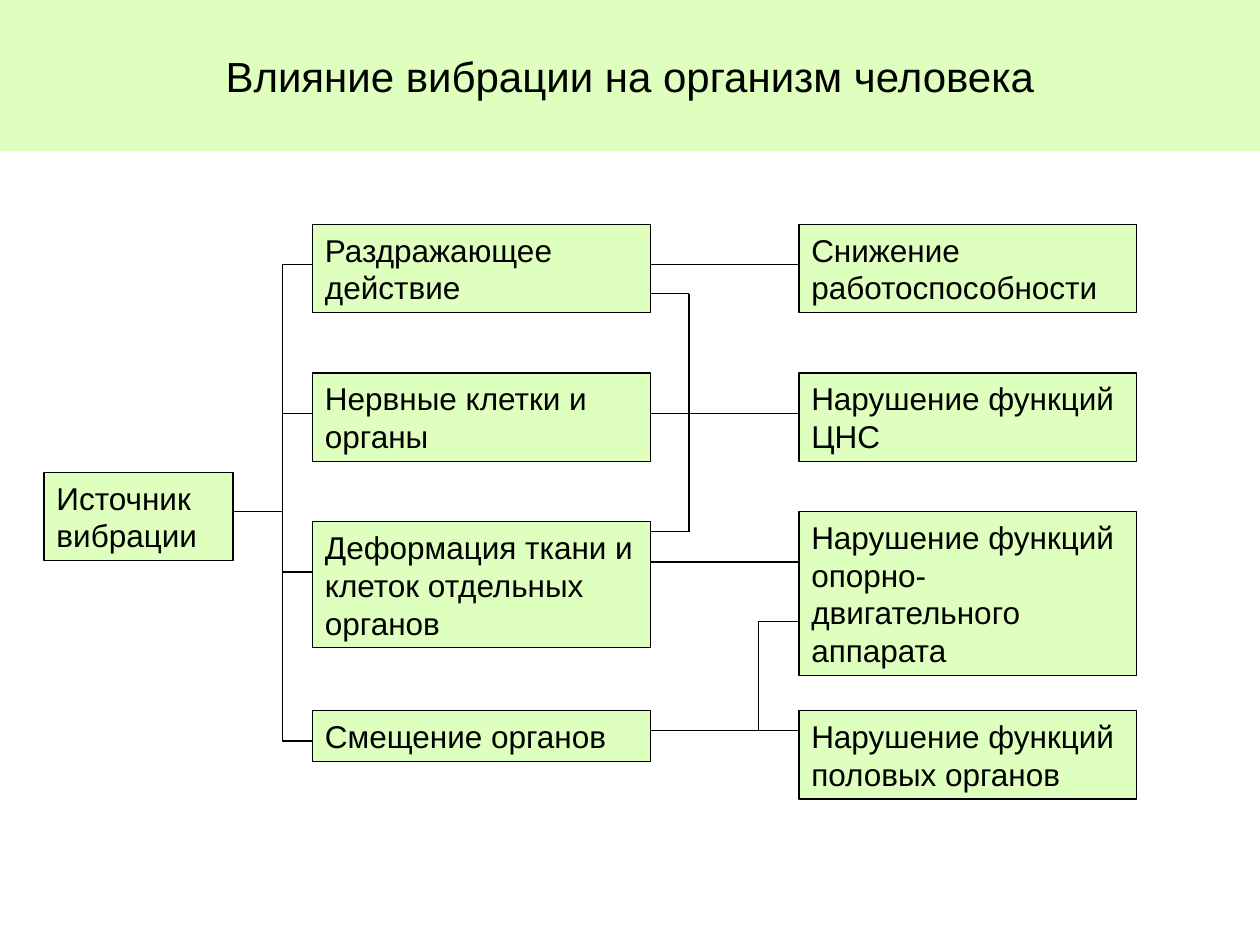
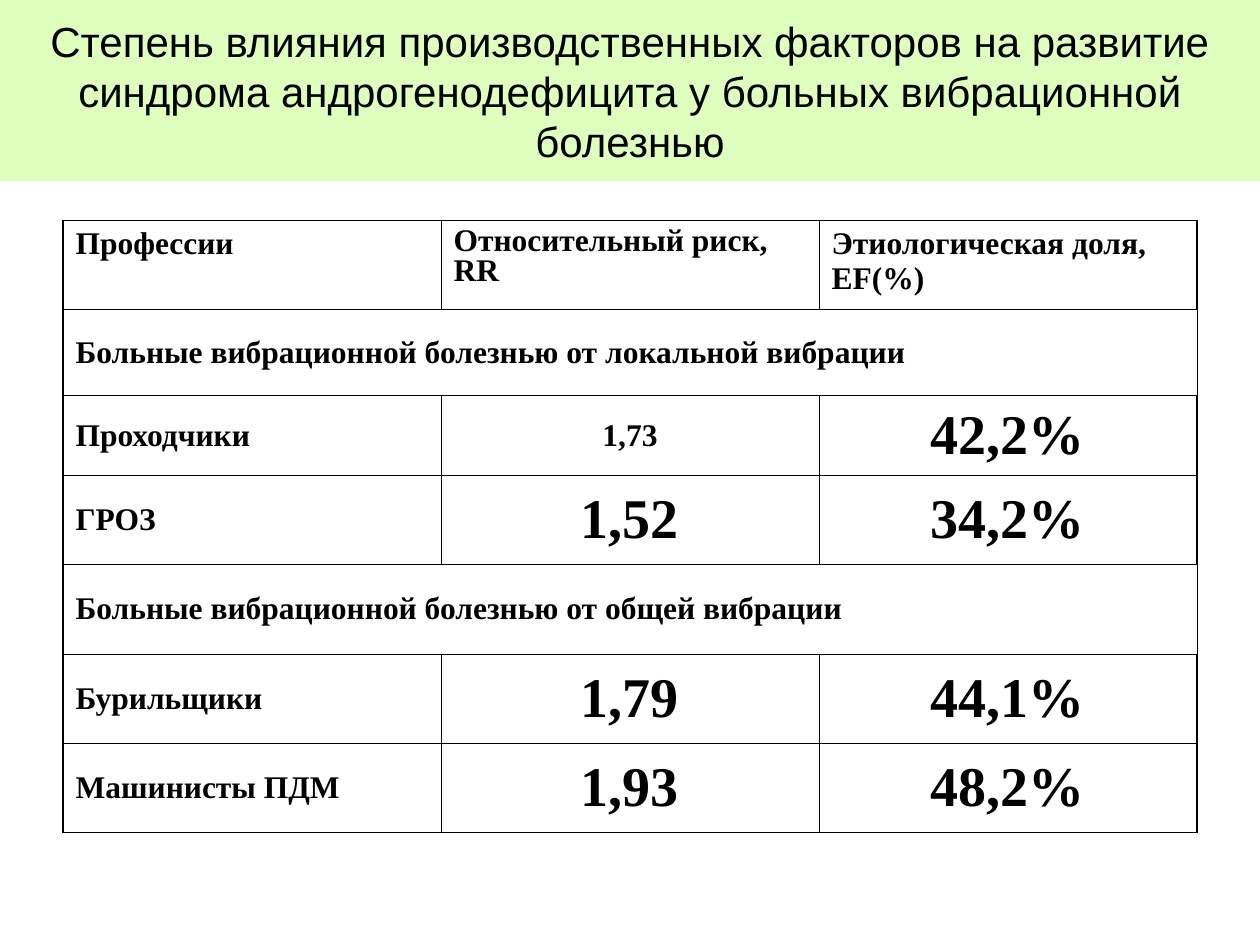
from dataclasses import dataclass

from lxml import etree
from pptx import Presentation
from pptx.dml.color import RGBColor
from pptx.enum.shapes import MSO_CONNECTOR, MSO_SHAPE
from pptx.enum.text import MSO_ANCHOR, PP_ALIGN
from pptx.oxml.ns import qn
from pptx.util import Pt

RECTANGLE = MSO_SHAPE.RECTANGLE
STRAIGHT = MSO_CONNECTOR.STRAIGHT
TOP, MIDDLE = MSO_ANCHOR.TOP, MSO_ANCHOR.MIDDLE
LEFT, CENTER = PP_ALIGN.LEFT, PP_ALIGN.CENTER


@dataclass(frozen=True)
class Theme:
    """Colours, fonts, type sizes and line widths, in points."""

    green: str = "DEFFBD"
    ink: str = "000000"
    sans: str = "Arial"
    serif: str = "Times New Roman"
    title_size: float = 24
    body_size: float = 18
    figure_size: float = 32
    line: float = 0.75
    inner_border: float = 0.45
    outer_border: float = 1.08


THEME = Theme()
SLIDE_WIDTH, SLIDE_HEIGHT = 720, 540

CAUSES = [
    ("Раздражающее действие", 0, 50.4),
    ("Нервные клетки и органы", 85, 50.4),
    ("Деформация ткани и клеток отдельных органов", 170, 72),
    ("Смещение органов", 278, 28.8),
]
EFFECTS = [
    ("Снижение работоспособности", 0, 50.4),
    ("Нарушение функций ЦНС", 85, 50.4),
    ("Нарушение функций опорно-двигательного аппарата", 164.2, 93.6),
    ("Нарушение функций половых органов", 278, 50.4),
]

TABLE_ROWS = [
    ("Профессии", "Относительный риск, RR", "Этиологическая доля, EF(%)"),
    ("Больные вибрационной болезнью от локальной вибрации",),
    ("Проходчики", "1,73", "42,2%"),
    ("ГРОЗ", "1,52", "34,2%"),
    ("Больные вибрационной болезнью от общей вибрации",),
    ("Бурильщики", "1,79", "44,1%"),
    ("Машинисты ПДМ", "1,93", "48,2%"),
]
ROW_HEIGHTS = [51, 49, 45.7, 51, 51, 51, 51]
SMALL_FIGURE = "1,73"


def write_text(text_frame, text, font_name, size, alignment=LEFT, bold=False):
    """Put one formatted paragraph into a text frame."""
    text_frame.text = text
    text_frame.word_wrap = True
    paragraph = text_frame.paragraphs[0]
    paragraph.alignment = alignment
    font = paragraph.runs[0].font
    font.name, font.size, font.bold = font_name, Pt(size), bold
    font.color.rgb = RGBColor.from_string(THEME.ink)


def add_green_box(slide, left, top, width, height):
    """Add a flat green rectangle without an outline."""
    shape = slide.shapes.add_shape(RECTANGLE, Pt(left), Pt(top), Pt(width), Pt(height))
    shape.shadow.inherit = False
    shape.fill.solid()
    shape.fill.fore_color.rgb = RGBColor.from_string(THEME.green)
    shape.line.fill.background()
    return shape


def add_title_band(slide, title, height):
    """Add the full-width title band."""
    band = add_green_box(slide, 0, 0, SLIDE_WIDTH, height)
    band.text_frame.vertical_anchor = MIDDLE
    write_text(band.text_frame, title, THEME.sans, THEME.title_size, CENTER)


def add_node(slide, text, left, top, width, height):
    """Add an outlined diagram box."""
    node = add_green_box(slide, left, top, width, height)
    node.line.color.rgb = RGBColor.from_string(THEME.ink)
    node.line.width = Pt(THEME.line)
    node.text_frame.vertical_anchor = TOP
    write_text(node.text_frame, text, THEME.sans, THEME.body_size)


def add_path(slide, left, top, *points):
    """Join successive points, given relative to left and top, by lines."""
    for (x1, y1), (x2, y2) in zip(points, points[1:]):
        connector = slide.shapes.add_connector(
            STRAIGHT, Pt(left + x1), Pt(top + y1), Pt(left + x2), Pt(top + y2)
        )
        connector.line.color.rgb = RGBColor.from_string(THEME.ink)
        connector.line.width = Pt(THEME.line)
        etree.SubElement(connector._element.spPr, qn("a:effectLst"))


def add_diagram(slide, left, top):
    """Draw the source, its direct causes and their effects."""
    source_width, column_width = 108, 193
    cause_left, effect_left = 153.4, 431.3
    cause_right = cause_left + column_width
    trunk, cause_bracket, effect_bracket = 136.1, 368.6, 408.2
    link_heights = [23, 108, 193, 289.4]
    branch_heights = [23, 108, 198.7, 295.2]

    add_node(slide, "Источник вибрации", left, top + 141.8, source_width, 50.4)
    for column_left, nodes in ((cause_left, CAUSES), (effect_left, EFFECTS)):
        for text, node_top, height in nodes:
            add_node(slide, text, left + column_left, top + node_top, column_width, height)

    for y in link_heights:
        add_path(slide, left, top, (cause_right, y), (effect_left, y))
    for y in branch_heights:
        add_path(slide, left, top, (cause_left, y), (trunk, y))
    add_path(slide, left, top, (trunk, branch_heights[0]), (trunk, branch_heights[-1]))
    add_path(slide, left, top, (trunk, 164.2), (source_width, 164.2))
    add_path(slide, left, top, (cause_right, 39.6), (cause_bracket, 39.6),
             (cause_bracket, 175.7), (cause_right, 175.7))
    add_path(slide, left, top, (effect_left, 226.8), (effect_bracket, 226.8),
             (effect_bracket, link_heights[-1]))


def set_borders(cell, outer_sides):
    """Draw the four cell borders, thicker on the table's outer sides."""
    properties = cell._tc.get_or_add_tcPr()
    for side in "LRTB":
        width = THEME.outer_border if side in outer_sides else THEME.inner_border
        border = etree.SubElement(properties, qn(f"a:ln{side}"), w=str(int(Pt(width))))
        fill = etree.SubElement(border, qn("a:solidFill"))
        etree.SubElement(fill, qn("a:srgbClr"), val=THEME.ink)


def add_risk_table(slide, left, top, width):
    """Add the table of relative risk and etiological share."""
    row_count, column_count = len(TABLE_ROWS), len(TABLE_ROWS[0])
    table = slide.shapes.add_table(
        row_count, column_count, Pt(left), Pt(top), Pt(width), Pt(sum(ROW_HEIGHTS))
    ).table
    table.first_row = table.horz_banding = False
    for column in table.columns:
        column.width = Pt(width / column_count)

    for row_index, texts in enumerate(TABLE_ROWS):
        table.rows[row_index].height = Pt(ROW_HEIGHTS[row_index])
        for column_index in range(column_count):
            cell = table.cell(row_index, column_index)
            edges = {"L": column_index == 0, "R": column_index == column_count - 1,
                     "T": row_index == 0, "B": row_index == row_count - 1}
            set_borders(cell, [side for side, is_outer in edges.items() if is_outer])
            cell.fill.background()
            cell.margin_left = cell.margin_right = Pt(7.2)
            cell.margin_top = cell.margin_bottom = Pt(3.6)
            cell.vertical_anchor = MIDDLE if row_index else TOP
        if len(texts) == 1:
            table.cell(row_index, 0).merge(table.cell(row_index, column_count - 1))
        for column_index, text in enumerate(texts):
            is_figure = row_index > 0 and column_index > 0
            is_large = is_figure and text != SMALL_FIGURE
            write_text(table.cell(row_index, column_index).text_frame, text, THEME.serif,
                       THEME.figure_size if is_large else THEME.body_size,
                       CENTER if is_figure else LEFT, bold=True)
    table.cell(0, 1).text_frame.paragraphs[0].line_spacing = 0.87


def main():
    """Build both slides and save the presentation."""
    presentation = Presentation()
    presentation.slide_width, presentation.slide_height = Pt(SLIDE_WIDTH), Pt(SLIDE_HEIGHT)
    blank = presentation.slide_layouts[6]

    slide = presentation.slides.add_slide(blank)
    add_title_band(slide, "Влияние вибрации на организм человека", 86.4)
    add_diagram(slide, 25.2, 128.2)

    slide = presentation.slides.add_slide(blank)
    add_title_band(slide, "Степень влияния производственных факторов на развитие "
                   "синдрома андрогенодефицита у больных вибрационной болезнью", 103.7)
    add_risk_table(slide, 36, 126, 648)

    presentation.save("out.pptx")


if __name__ == "__main__":
    main()
